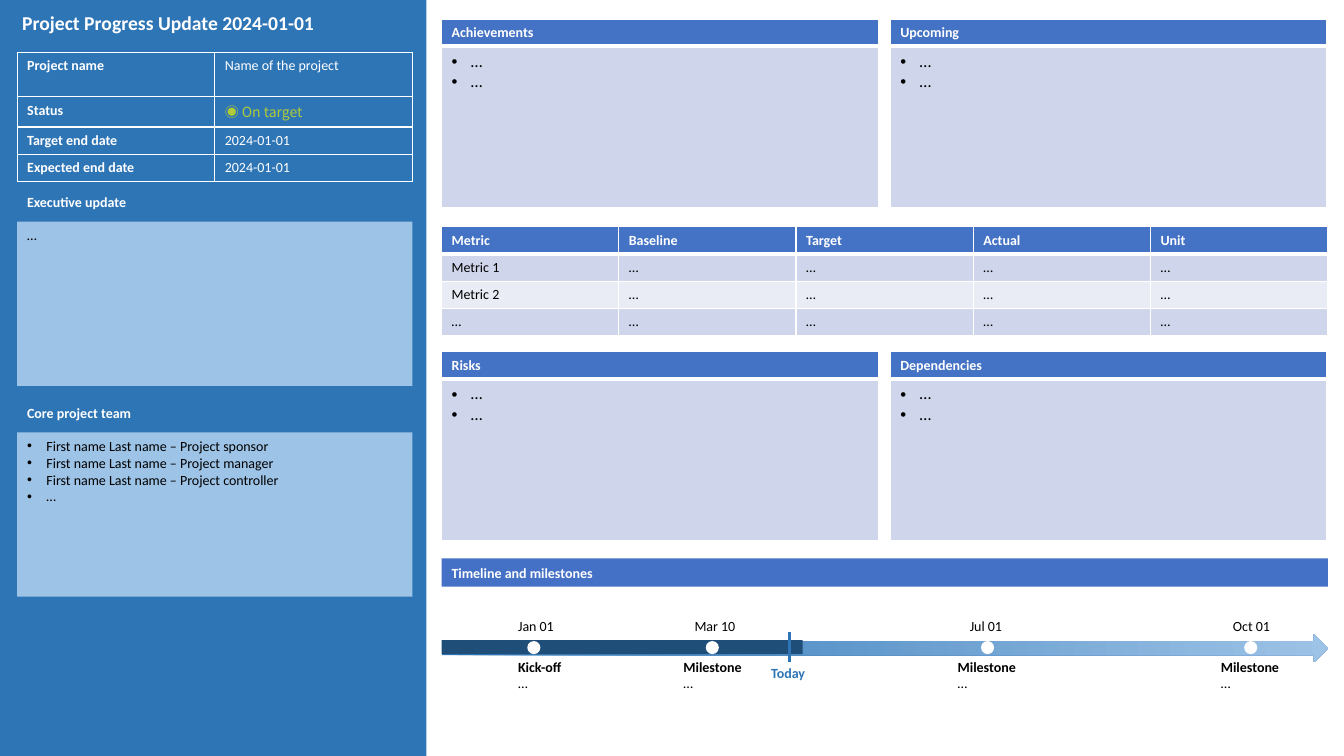
from pptx import Presentation
from pptx.dml.color import RGBColor
from pptx.enum.shapes import MSO_CONNECTOR, MSO_SHAPE as Shape
from pptx.enum.text import MSO_ANCHOR as Anchor, MSO_AUTO_SIZE as AutoSize, PP_ALIGN as Align
from pptx.oxml.ns import qn
from pptx.util import Inches, Pt
from lxml.etree import SubElement

COLORS = {
    "white": "FFFFFF", "black": "000000", "panel": "2E75B6", "light": "9DC3E6",
    "header": "4472C4", "bar": "4471C5", "band": "CFD5EA", "pale": "E9EBF5",
    "done": "1F4E79", "on_target": "AFCB36",
}
TITLE = "Project Progress Update 2024-01-01"
FACTS = [
    ("Project name", "Name of the project", 0.44),
    ("Status", "◉ On target", 0.3),
    ("Target end date", "2024-01-01", 0.27),
    ("Expected end date", "2024-01-01", 0.27),
]
TEAM = [
    "First name Last name – Project sponsor",
    "First name Last name – Project manager",
    "First name Last name – Project controller",
    "…",
]
METRICS = [
    ("Metric", "Baseline", "Target", "Actual", "Unit"),
    ("Metric 1", "…", "…", "…", "…"),
    ("Metric 2", "…", "…", "…", "…"),
    ("…", "…", "…", "…", "…"),
]
CARDS = [("Achievements", "Upcoming"), ("Risks", "Dependencies")]
CARD_TOPS = [0.19, 3.49]
# dot left, date left and width, label left and width, date, label
MILESTONES = [
    (5.23, 5.04, 0.56, 5.04, 0.64, "Jan 01", "Kick-off"),
    (7.0, 6.79, 0.61, 6.68, 0.79, "Mar 10", "Milestone"),
    (9.73, 9.52, 0.53, 9.4, 0.79, "Jul 01", "Milestone"),
    (12.34, 12.13, 0.58, 12.01, 0.79, "Oct 01", "Milestone"),
]

SIDE_LEFT, SIDE_WIDTH, SIDE_BOX_HEIGHT = 0.17, 3.92, 1.63
MAIN_LEFT, MAIN_WIDTH = 4.38, 8.79
CARD_WIDTH, CARD_STEP = 4.33, 4.45
ROW_HEIGHT = 0.27


def rgb(name):
    return RGBColor.from_string(COLORS[name])


def inches(*lengths):
    return [Inches(length) for length in lengths]


def write(frame, lines, color="black", size=10, bold=False, bullet=False, font="Calibri"):
    """Put one run per line; bold may be one flag or a flag for each line."""
    flags = bold if isinstance(bold, list) else [bold] * len(lines)
    for index, (line, flag) in enumerate(zip(lines, flags)):
        para = frame.paragraphs[0] if index == 0 else frame.add_paragraph()
        para.alignment = Align.LEFT
        para.space_before = Pt(0)
        if bullet:
            props = para._p.get_or_add_pPr()
            props.set("marL", str(Inches(0.19)))
            props.set("indent", str(Inches(-0.19)))
            SubElement(props, qn("a:buFont"), typeface="Arial")
            SubElement(props, qn("a:buChar"), char="•")
        span = para.add_run()
        span.text = line
        span.font.name = font
        span.font.size = Pt(size)
        span.font.bold = flag
        span.font.color.rgb = rgb(color)


def add_box(page, kind, left, top, width, height, fill):
    box = page.shapes.add_shape(kind, *inches(left, top, width, height))
    box.shadow.inherit = False
    box.line.fill.background()
    box.fill.solid()
    box.fill.fore_color.rgb = rgb(fill)
    box.text_frame.vertical_anchor = Anchor.TOP
    return box


def add_text(page, left, top, width, height, lines, wrap=False, **style):
    frame = page.shapes.add_textbox(*inches(left, top, width, height)).text_frame
    frame.word_wrap = wrap
    frame.auto_size = AutoSize.SHAPE_TO_FIT_TEXT
    write(frame, lines, **style)


def add_grid(page, left, top, width, heights, columns):
    frame = page.shapes.add_table(
        len(heights), columns, *inches(left, top, width, sum(heights)))
    for row, height in zip(frame.table.rows, heights):
        row.height = Inches(height)
    for column in frame.table.columns:
        column.width = Inches(width / columns)
    return frame.table


def style_cell(cell, fill=None, top=1, bottom=1):
    props = cell._tc.get_or_add_tcPr()
    for side, points in (("L", 1), ("R", 1), ("T", top), ("B", bottom)):
        line = SubElement(props, qn(f"a:ln{side}"), w=str(Pt(points)))
        solid = SubElement(line, qn("a:solidFill"))
        SubElement(solid, qn("a:srgbClr"), val=COLORS["white"])
    if fill:
        cell.fill.solid()
        cell.fill.fore_color.rgb = rgb(fill)
    else:
        cell.fill.background()


def add_header_cell(cell, label):
    style_cell(cell, "header", bottom=3)
    write(cell.text_frame, [label], "white", bold=True)


def add_side(page):
    panel = add_box(page, Shape.RECTANGLE, -0.02, -0.02, 4.25, 7.52, "panel")
    panel.element.getparent().insert(2, panel.element)

    title = page.shapes.title
    title.left, title.top, title.width, title.height = inches(0.12, 0.06, SIDE_WIDTH, 0.34)
    title.text_frame.vertical_anchor = Anchor.TOP
    title.text_frame.auto_size = AutoSize.NONE
    write(title.text_frame, [TITLE], "white", 14, True)

    facts = add_grid(page, SIDE_LEFT, 0.52, SIDE_WIDTH, [fact[2] for fact in FACTS], 2)
    facts.first_row = facts.horz_banding = False
    for row, (label, value, _) in enumerate(FACTS):
        status = label == "Status"
        for column in range(2):
            style_cell(facts.cell(row, column))
        write(facts.cell(row, 0).text_frame, [label], "white", bold=True)
        write(facts.cell(row, 1).text_frame, [value], "on_target" if status else "white",
              font="Noto Sans CJK KR" if status else "Calibri")

    for label, top in (("Executive update", 1.87), ("Core project team", 3.96)):
        add_text(page, SIDE_LEFT, top, SIDE_WIDTH, ROW_HEIGHT, [label],
                 wrap=True, color="white", bold=True)
    update = add_box(page, Shape.RECTANGLE, SIDE_LEFT, 2.2, SIDE_WIDTH, SIDE_BOX_HEIGHT, "light")
    write(update.text_frame, ["…"])

    team = page.placeholders[1]
    team.left, team.top, team.width, team.height = inches(
        SIDE_LEFT, 4.29, SIDE_WIDTH, SIDE_BOX_HEIGHT)
    team.fill.solid()
    team.fill.fore_color.rgb = rgb("light")
    team.text_frame.auto_size = AutoSize.NONE
    write(team.text_frame, TEAM, bullet=True)


def add_tables(page):
    for top, labels in zip(CARD_TOPS, CARDS):
        for index, label in enumerate(labels):
            card = add_grid(page, MAIN_LEFT + index * CARD_STEP, top, CARD_WIDTH,
                            [ROW_HEIGHT, 1.6], 1)
            add_header_cell(card.cell(0, 0), label)
            style_cell(card.cell(1, 0), "band", top=3)
            write(card.cell(1, 0).text_frame, ["…", "…"], size=12, bullet=True)

    metrics = add_grid(page, MAIN_LEFT, 2.25, MAIN_WIDTH, [ROW_HEIGHT] * len(METRICS), 5)
    for row, values in enumerate(METRICS):
        for column, value in enumerate(values):
            cell = metrics.cell(row, column)
            if row == 0:
                add_header_cell(cell, value)
            else:
                style_cell(cell, "band" if row % 2 else "pale", top=3 if row == 1 else 1)
                write(cell.text_frame, [value])


def add_timeline(page):
    bar = add_box(page, Shape.RECTANGLE, MAIN_LEFT, 5.54, MAIN_WIDTH, 0.28, "bar")
    bar.text_frame.vertical_anchor = Anchor.MIDDLE
    write(bar.text_frame, ["Timeline and milestones"], "white", bold=True)

    arrow = add_box(page, Shape.RIGHT_ARROW, MAIN_LEFT, 6.29, MAIN_WIDTH, 0.28, "panel")
    arrow.fill.gradient()
    arrow.fill.gradient_angle = 0
    for stop, color in zip(arrow.fill.gradient_stops, ("panel", "light")):
        stop.color.rgb = rgb(color)
    add_box(page, Shape.RECTANGLE, MAIN_LEFT, 6.35, 3.58, 0.14, "done")

    for dot, date_left, date_width, label_left, label_width, date, label in MILESTONES:
        add_box(page, Shape.OVAL, dot, 6.36, 0.13, 0.13, "white")
        add_text(page, date_left, 6.08, date_width, ROW_HEIGHT, [date])
        add_text(page, label_left, 6.48, label_width, 0.44, [label, "…"], bold=[True, False])

    today = page.shapes.add_connector(MSO_CONNECTOR.STRAIGHT, *inches(7.83, 6.27, 7.83, 6.57))
    today.line.color.rgb = rgb("panel")
    today.line.width = Pt(1.5)
    SubElement(today.element.spPr, qn("a:effectLst"))
    add_text(page, 7.55, 6.54, 0.56, ROW_HEIGHT, ["Today"], color="panel", bold=True)


def main():
    deck = Presentation()
    deck.slide_width, deck.slide_height = inches(13.33, 7.5)
    page = deck.slides.add_slide(deck.slide_layouts[1])
    add_side(page)
    add_tables(page)
    add_timeline(page)
    deck.save("out.pptx")


if __name__ == "__main__":
    main()
